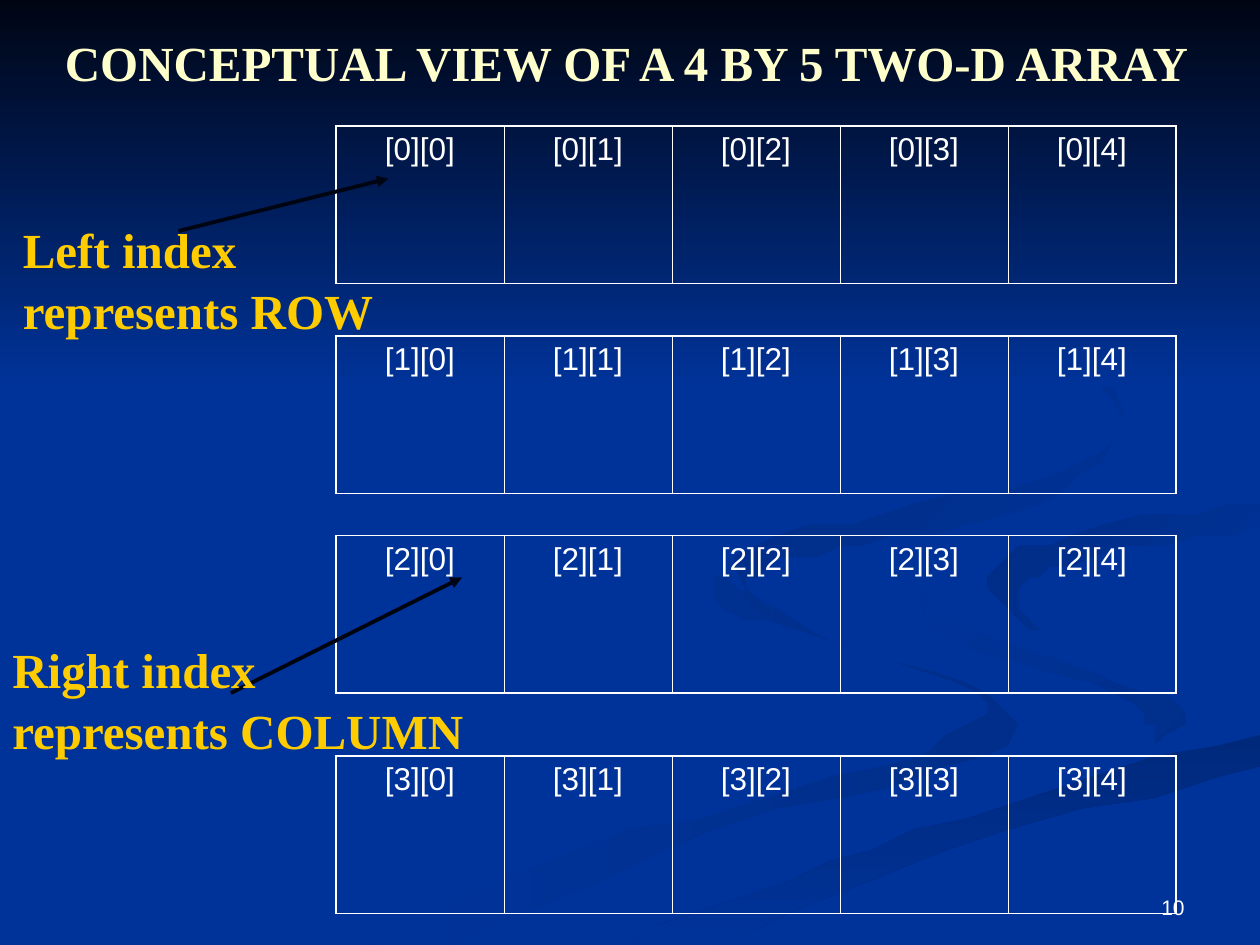
from lxml.etree import SubElement
from pptx import Presentation
from pptx.dml.color import RGBColor
from pptx.enum.shapes import MSO_CONNECTOR, MSO_SHAPE
from pptx.enum.text import MSO_ANCHOR, MSO_AUTO_SIZE, PP_ALIGN
from pptx.oxml.ns import qn
from pptx.util import Inches, Pt

COLORS = {
    "background": "003399", "night": "000514", "white": "FFFFFF",
    "title": "FFFFCC", "label": "FFCC00",
    "shade": "002E8A", "shade_dark": "00297C", "shade_edge": "002C85", "shade_curl": "002B81",
}

# The slide is a grid of 120 columns by 90 rows
GRID_COLUMNS, GRID_ROWS = 120, 90
UNIT = Inches(10) / GRID_COLUMNS
ARRAY_COLUMNS = 5
THICK, THIN = 1.08, 0.45

# Array rows: left, top, width, height in grid units
ARRAY_BOXES = [(32, top, 80, 15) for top in (12, 32, 51, 72)]

HEADING = {"name": "Times New Roman", "size": Pt(28), "bold": True}
BODY = {"name": "Arial", "size": Pt(18), "bold": False}
SMALL = {"name": "Arial", "size": Pt(12), "bold": False}

# Ribbons: first colour, last colour, angle, and guide points in grid units.
# A smooth closed curve is drawn through the guide points.
CURVE_STEPS = 5
RIBBONS = [
    ("shade", "background", 180, [
        (94, 66), (79, 61), (69, 55), (69, 58), (82, 62), (94, 67),
        (84, 73), (55, 81), (36, 90), (43, 90), (68, 79), (94, 72)]),
    ("shade", "background", 225, [
        (113, 68), (104, 64), (90, 59), (87, 56), (91, 61), (106, 66), (110, 70), (107, 73)]),
    ("shade_dark", "background", 90, [
        (60, 90), (68, 90), (90, 81), (120, 73), (120, 70), (92, 78), (72, 85)]),
    ("background", "shade_edge", 225, [
        (94, 55), (99, 60), (97, 56), (104, 53), (120, 50), (120, 48), (102, 51)]),
    ("background", "shade_curl", 225, [
        (82, 52), (99, 48), (107, 41), (102, 34), (91, 28), (101, 33), (107, 40),
        (101, 45), (84, 49), (70, 53), (75, 60), (71, 56), (75, 53)]),
]


def grid(*values):
    return [round(value * UNIT) for value in values]


def color(name):
    return RGBColor.from_string(COLORS[name])


def smooth_outline(guides):
    """Points of a closed Catmull-Rom curve, kept inside the grid."""
    outline = []
    for index in range(len(guides)):
        corners = [guides[(index + shift) % len(guides)] for shift in (-1, 0, 1, 2)]
        for step in range(CURVE_STEPS):
            t = step / CURVE_STEPS
            x, y = (
                b + t * (c - a + t * (2 * a - 5 * b + 4 * c - d + t * (3 * b - a - 3 * c + d))) / 2
                for a, b, c, d in zip(*corners))
            outline.append((min(x, GRID_COLUMNS), min(y, GRID_ROWS)))
    return outline


def paint(shape, first, last, angle):
    """Give a borderless shape a gradient; angle is clockwise from left to right."""
    shape.shadow.inherit = False
    shape.line.fill.background()
    shape.fill.gradient()
    shape.fill.gradient_angle = (360 - angle) % 360
    for stop, name in zip(shape.fill.gradient_stops, (first, last)):
        stop.color.rgb = color(name)


def write(paragraph, text, font_format, color_name):
    run = paragraph.add_run()
    run.text = text
    for attribute, value in font_format.items():
        setattr(run.font, attribute, value)
    run.font.color.rgb = color(color_name)


def add_background(slide, box):
    """Blue ground, ribbons and the dark band along the top of the box."""
    slide.background.fill.solid()
    slide.background.fill.fore_color.rgb = color("background")
    left, top, width, height = grid(*box)
    for first, last, angle, guides in RIBBONS:
        outline = smooth_outline(guides)
        builder = slide.shapes.build_freeform(*outline[0], scale=UNIT)
        builder.add_line_segments(outline[1:], close=True)
        paint(builder.convert_to_shape(left, top), first, last, angle)
    band = slide.shapes.add_shape(MSO_SHAPE.RECTANGLE, left, top, width, round(height * 0.41))
    paint(band, "night", "background", 90)


def set_borders(cell, widths):
    properties = cell._tc.get_or_add_tcPr()
    for index, (side, width) in enumerate(widths.items()):
        line = properties.makeelement(qn(f"a:{side}"), {"w": str(Pt(width))})
        fill = SubElement(line, qn("a:solidFill"))
        SubElement(fill, qn("a:srgbClr"), val=COLORS["white"])
        properties.insert(index, line)


def add_array_row(slide, box, row):
    """One table holding the cells of a single array row."""
    table = slide.shapes.add_table(1, ARRAY_COLUMNS, *grid(*box)).table
    table.first_row = table.horz_banding = False
    for column in range(ARRAY_COLUMNS):
        cell = table.cell(0, column)
        cell.fill.background()
        paragraph = cell.text_frame.paragraphs[0]
        paragraph.alignment = PP_ALIGN.CENTER
        write(paragraph, f"[{row}][{column}]", BODY, "white")
        set_borders(cell, {
            "lnL": THICK if column == 0 else THIN,
            "lnR": THICK if column == ARRAY_COLUMNS - 1 else THIN,
            "lnT": THICK, "lnB": THICK})


def add_text(slide, box, text, font_format, color_name):
    frame = slide.shapes.add_textbox(*grid(*box)).text_frame
    frame.word_wrap = True
    write(frame.paragraphs[0], text, font_format, color_name)
    return frame


def add_heading(slide, box, text, color_name):
    frame = add_text(slide, box, text, HEADING, color_name)
    frame.auto_size = MSO_AUTO_SIZE.SHAPE_TO_FIT_TEXT
    for attribute, value in {"space_before": Pt(17.5), "line_spacing": 1.05}.items():
        setattr(frame.paragraphs[0], attribute, value)


def add_arrow(slide, start, end):
    arrow = slide.shapes.add_connector(MSO_CONNECTOR.STRAIGHT, *grid(*start, *end))
    arrow.line.width = Pt(2.25)
    arrow.line.color.rgb = color("night")
    SubElement(arrow.line._get_or_add_ln(), qn("a:tailEnd"), type="triangle")
    SubElement(arrow._element.spPr, qn("a:effectLst"))


def add_page_number(slide, box, number):
    frame = add_text(slide, box, number, SMALL, "white")
    frame.vertical_anchor = MSO_ANCHOR.BOTTOM
    frame.paragraphs[0].alignment = PP_ALIGN.RIGHT


def main():
    presentation = Presentation()
    presentation.slide_width, presentation.slide_height = grid(GRID_COLUMNS, GRID_ROWS)
    slide = presentation.slides.add_slide(presentation.slide_layouts[6])

    add_background(slide, (0, 0, GRID_COLUMNS, GRID_ROWS))
    for row, box in enumerate(ARRAY_BOXES):
        add_array_row(slide, box, row)

    # Index labels and their arrows
    add_heading(slide, (1, 20, 43, 12.5), "Left index represents ROW", "label")
    add_arrow(slide, (17, 22), (37, 17))
    add_arrow(slide, (22, 66), (44, 55))
    add_heading(slide, (0, 60, 47, 12.5), "Right index represents COLUMN", "label")

    # Title and page number
    add_heading(slide, (5, 2.2, 117, 6.8), "CONCEPTUAL VIEW OF A 4 BY 5 TWO-D ARRAY", "title")
    add_page_number(slide, (86, 82, 28, 6.2), "10")
    presentation.save("out.pptx")


if __name__ == "__main__":
    main()
